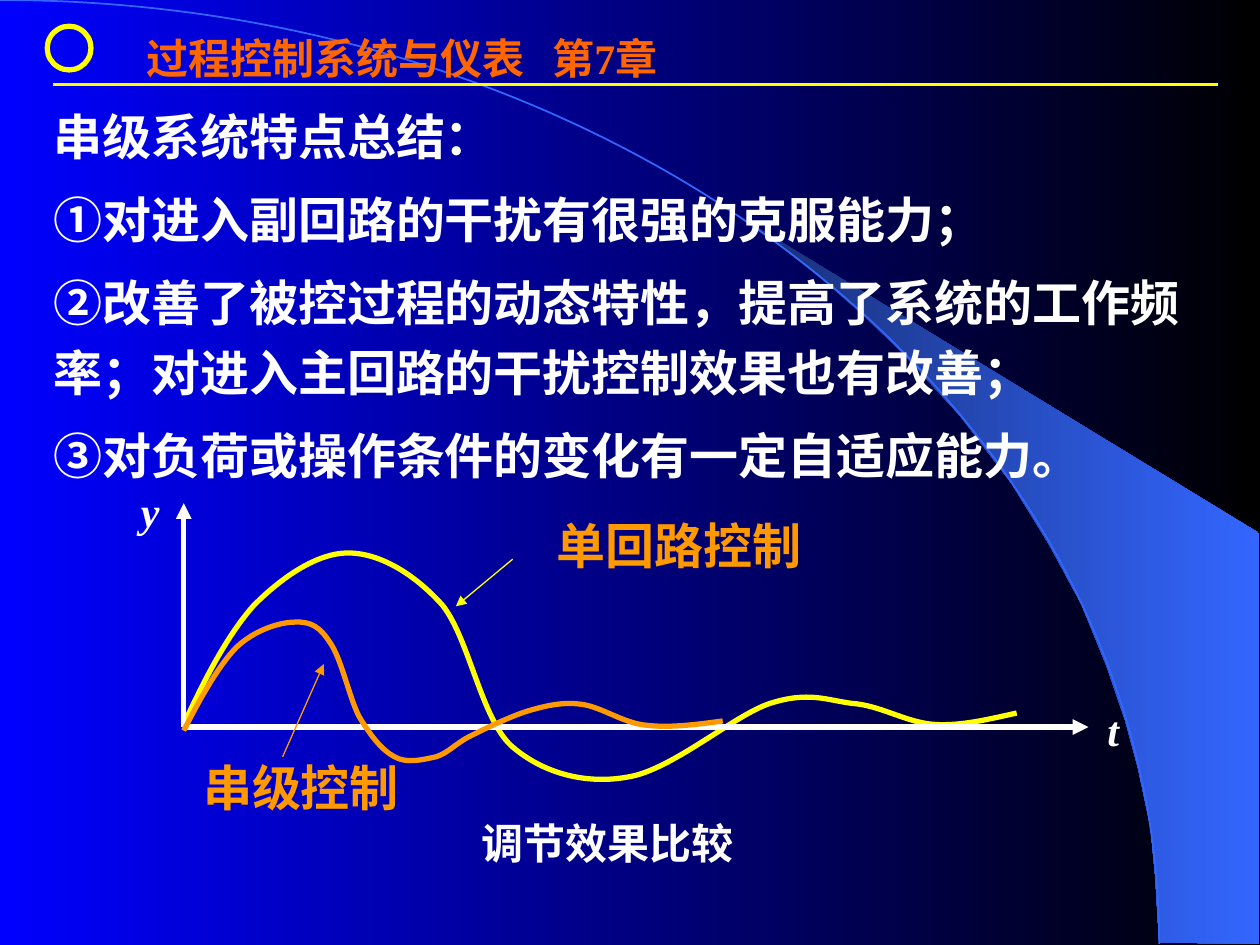
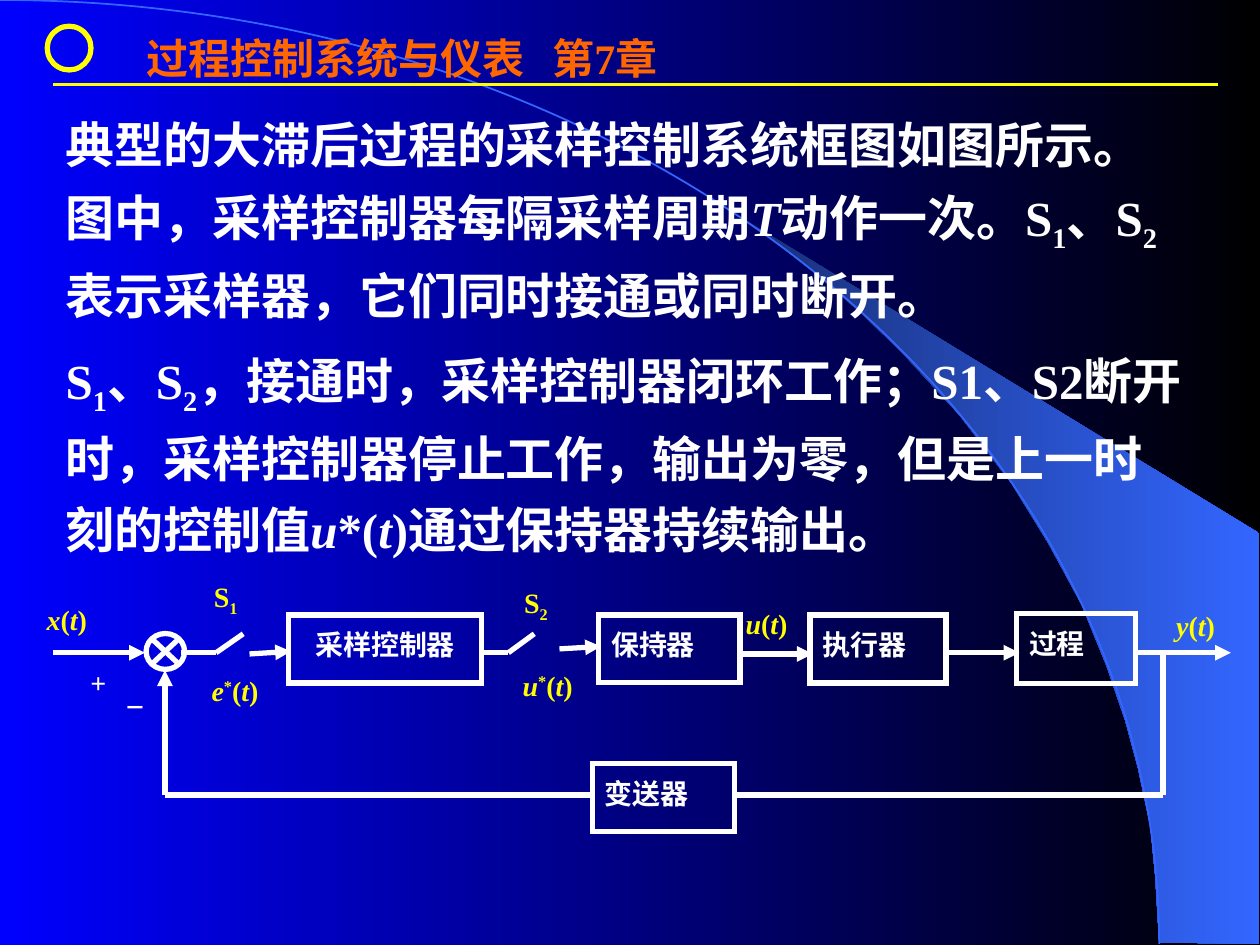
from itertools import pairwise
from typing import NamedTuple

from lxml import etree
from pptx import Presentation
from pptx.dml.color import RGBColor
from pptx.enum import shapes, text
from pptx.oxml.ns import qn
from pptx.util import Pt

WHITE = RGBColor(0xFF, 0xFF, 0xFF)
BLACK = RGBColor(0x00, 0x00, 0x00)
BLUE = RGBColor(0x00, 0x00, 0xFF)
NAVY = RGBColor(0x18, 0x2F, 0x76)
SKY = RGBColor(0x33, 0x66, 0xFF)
YELLOW = RGBColor(0xFF, 0xFF, 0x00)
AMBER = RGBColor(0xFF, 0x99, 0x00)
ORANGE = RGBColor(0xFF, 0x66, 0x00)
LATIN, CJK = "Times New Roman", "Noto Sans CJK SC"
LEFT, CENTER, JUSTIFY = text.PP_ALIGN.LEFT, text.PP_ALIGN.CENTER, text.PP_ALIGN.JUSTIFY
Point = tuple[float, float]


class Run(NamedTuple):
    text: str
    italic: bool = False
    baseline: int = 0


class Label(NamedTuple):
    left: float
    top: float
    width: float
    height: float
    runs: list[Run]
    color: RGBColor = YELLOW
    size: float = 16
    align: text.PP_ALIGN = JUSTIFY
    spacing: float = 1.2
    font: str = LATIN


class Block(NamedTuple):
    left: float
    top: float
    width: float
    height: float
    name: str
    align: text.PP_ALIGN = JUSTIFY


class Line(NamedTuple):
    start: Point
    end: Point
    color: RGBColor = WHITE
    width: float = 3
    arrow: bool = False


def sub(base: str, index: str) -> list[Run]:
    return [Run(base), Run(index, baseline=-25)]


def signal(name: str, sampled: bool = False) -> list[Run]:
    """Runs for name(t), with a raised star if sampled."""
    star = [Run("*", baseline=30)] if sampled else []
    return [Run(name, True), *star, Run("("), Run("t", True), Run(")")]


def write(p, runs: list[Run], size: float, color: RGBColor, font: str = LATIN) -> None:
    for run in runs:
        r = p.add_run()
        r.text = run.text
        r.font.size, r.font.bold, r.font.italic = Pt(size), True, run.italic
        r.font.color.rgb, r.font.name = color, font
        r_pr = r.font._element
        etree.SubElement(r_pr, qn("a:ea")).set("typeface", CJK)
        if run.baseline:
            r_pr.set("baseline", str(run.baseline * 1000))


def place(sp, left: float, top: float, width: float, height: float) -> None:
    sp.left, sp.top, sp.width, sp.height = Pt(left), Pt(top), Pt(width), Pt(height)


def set_frame(tf, anchor=text.MSO_ANCHOR.TOP) -> None:
    tf.word_wrap = True
    tf.auto_size = text.MSO_AUTO_SIZE.NONE
    tf.vertical_anchor = anchor


def outline(sp, color: RGBColor, width: float = 3) -> None:
    sp.shadow.inherit = False
    sp.fill.background()
    sp.line.color.rgb, sp.line.width = color, Pt(width)


def add_label(slide, label: Label) -> None:
    sp = slide.shapes.add_textbox(*map(Pt, label[:4]))
    set_frame(sp.text_frame)
    p = sp.text_frame.paragraphs[0]
    p.alignment, p.line_spacing = label.align, label.spacing
    write(p, label.runs, label.size, label.color, label.font)


def add_block(slide, block: Block) -> None:
    sp = slide.shapes.add_shape(shapes.MSO_SHAPE.RECTANGLE, *map(Pt, block[:4]))
    outline(sp, WHITE)
    etree.SubElement(sp.element.spPr.find(qn("a:ln")), qn("a:miter")).set("lim", "800000")
    set_frame(sp.text_frame)
    p = sp.text_frame.paragraphs[0]
    p.alignment, p.line_spacing = block.align, 1.2
    write(p, [Run(block.name)], 16, WHITE)


def add_line(slide, line: Line):
    cn = slide.shapes.add_connector(
        shapes.MSO_CONNECTOR.STRAIGHT, *map(Pt, line.start + line.end))
    cn.line.color.rgb, cn.line.width = line.color, Pt(line.width)
    sp_pr = cn.element.spPr
    if line.arrow:
        etree.SubElement(sp_pr.find(qn("a:ln")), qn("a:tailEnd")).set("type", "triangle")
    etree.SubElement(sp_pr, qn("a:effectLst"))
    return cn


def add_path(slide, points: list[Point], close: bool = False):
    first, *rest = [(Pt(x), Pt(y)) for x, y in points]
    builder = slide.shapes.build_freeform(*first)
    builder.add_line_segments(rest, close=close)
    return builder.convert_to_shape()


def add_curve(slide, nodes: list[Point], color: RGBColor, width: float = 3):
    """Joined cubic curves; every third node lies on the curve."""
    sp = add_path(slide, nodes)
    outline(sp, color, width)
    segments = sp.element.xpath(".//a:lnTo")
    for i in range(0, len(segments), 3):
        cubic = etree.Element(qn("a:cubicBezTo"))
        segments[i].addprevious(cubic)
        for segment in segments[i:i + 3]:
            cubic.append(segment[0])
            segment.getparent().remove(segment)
    return sp


def set_gradient(fill, start: RGBColor, end: RGBColor) -> None:
    fill.gradient()
    fill.gradient_angle = 0
    for stop, color in zip(fill.gradient_stops, (start, end)):
        stop.color.rgb = color


def decorate_master(prs, slide) -> None:
    """Draw the shared decoration and hand it over to the slide master."""
    set_gradient(prs.slide_master.background.fill, BLUE, BLACK)
    wedge = add_path(slide, [
        (662.4, 538.6), (719.3, 539.3), (719.3, 304.6), (424, 124.5), (449.3, 143.3),
        (470.2, 159.8), (493.2, 180), (515.5, 201.6), (548.6, 237.6), (578.2, 276.5),
        (599, 310.3), (617.8, 344.9), (632.2, 380.2), (643, 411.8), (650.2, 438.5),
        (657.4, 472.3), (660.2, 501.1)], True)
    wedge.shadow.inherit = False
    set_gradient(wedge.fill, NAVY, SKY)
    wedge.line.fill.background()
    arc = add_curve(
        slide, [(0, 0), (365.8, 0), (662.4, 241.2), (662.4, 539.3)], SKY, 1)
    ring = slide.shapes.add_shape(
        shapes.MSO_SHAPE.OVAL, Pt(27), Pt(15), Pt(25), Pt(25))
    outline(ring, YELLOW)
    rule = add_line(slide, Line((30.2, 48.2), (696.2, 48.2), YELLOW, 1.5))
    for number, sp in enumerate((wedge, arc, rule, ring), 100):
        sp.element.xpath(".//p:cNvPr")[0].set("id", str(number))
        prs.slide_master.shapes.element.append(sp.element)


def set_title(slide) -> None:
    sp = slide.shapes.title
    place(sp, 76.5, 15, 400, 40)
    set_frame(sp.text_frame)
    p = sp.text_frame.paragraphs[0]
    p.alignment = LEFT
    tabs = etree.SubElement(p._p.get_or_add_pPr(), qn("a:tabLst"))
    etree.SubElement(tabs, qn("a:tab"), pos=str(Pt(232)), algn="l")
    write(p, [Run("过程控制系统与仪表\t第7章")], 24, ORANGE)


def set_body(slide, box: tuple, paragraphs: list[list[Run]], anchor) -> None:
    sp = slide.placeholders[1]
    place(sp, *box)
    tf = sp.text_frame
    set_frame(tf, anchor)
    for i, runs in enumerate(paragraphs):
        p = tf.add_paragraph() if i else tf.paragraphs[0]
        p_pr = p._p.get_or_add_pPr()
        p_pr.set("marL", "0")
        p_pr.set("indent", "0")
        etree.SubElement(p_pr, qn("a:buNone"))
        p.alignment, p.line_spacing = LEFT, 1.2
        p.space_before = Pt(7 if i else 0)
        write(p, runs, 28, WHITE)


def build_summary(slide) -> None:
    set_body(slide, (23.4, 50.5, 672, 230), [[Run(line)] for line in (
        "串级系统特点总结：",
        "①对进入副回路的干扰有很强的克服能力；",
        "②改善了被控过程的动态特性，提高了系统的工作频率；对进入主回路的干扰控制效果也有改善；",
        "③对负荷或操作条件的变化有一定自适应能力。",
    )], text.MSO_ANCHOR.TOP)
    slide.placeholders[1].text_frame.paragraphs[0].runs[0].font.name = CJK

    single_loop = [
        (105, 414), (117, 388), (130, 363), (145, 346), (161, 330), (181, 316),
        (199, 316), (217, 316), (237, 328), (253, 346), (268, 365), (275, 410),
        (292, 426), (310, 442), (335, 448.5), (359, 444), (384, 440), (419, 409),
        (440, 402), (462, 395), (472, 400), (487, 402), (503, 403), (518, 413),
        (534, 414), (549, 415), (565, 411), (581, 407.5)]
    cascade = [
        (105, 417.5), (114.5, 399), (124.5, 381), (135, 370), (145.5, 360),
        (160, 355.5), (168.5, 355.5), (178, 355), (183, 358.5), (188.5, 367),
        (195, 376), (199.5, 398), (205, 409), (211.5, 420), (218, 428.5),
        (225.5, 432.5), (232.5, 436.5), (242, 434), (249, 432.5), (256, 430.5),
        (260, 425), (269, 420.5), (278, 416), (292.5, 409), (302.5, 406),
        (313, 403), (322, 401), (332.5, 402.5), (344, 404), (356.5, 413.5),
        (370, 414.5), (383, 416), (398, 414), (413, 412)]
    origin = (105, 415.5)
    add_curve(slide, single_loop, YELLOW)
    for line in (Line(origin, (622, 415.5), arrow=True),
                 Line(origin, (105, 287.5), arrow=True),
                 Line((161.5, 432.5), (185, 379.5), AMBER, 0.75, True),
                 Line((293, 319.5), (260.5, 346.5), YELLOW, 0.75, True)):
        add_line(slide, line)
    add_curve(slide, cascade, AMBER)
    for label in (
            Label(109, 429.4, 140, 41, [Run("串级控制")], AMBER, 28, LEFT, 1),
            Label(311, 291, 168, 41, [Run("单回路控制")], AMBER, 28, LEFT, 1),
            Label(625.7, 399, 30, 36, [Run("t", True)], WHITE, 24, LEFT, 1),
            Label(73.4, 274, 30, 36, [Run("y", True)], WHITE, 24, LEFT, 1),
            Label(268, 458, 230, 42, [Run("调节效果比较")], WHITE, 24, LEFT, font=CJK)):
        add_label(slide, label)


def build_sampling(slide) -> None:
    set_body(slide, (30.3, 55.5, 652.5, 267), [
        [Run("典型的大滞后过程的采样控制系统框图如图所示。图中，采样控制器每隔采样周期"),
         Run("T", True), *sub("动作一次。S", "1"), *sub("、S", "2"),
         Run("表示采样器，它们同时接通或同时断开。")],
        [*sub("S", "1"), *sub("、S", "2"),
         Run("，接通时，采样控制器闭环工作；S1、S2断开时，采样控制器停止工作，"
             "输出为零，但是上一时刻的控制值"),
         Run("u", True), Run("*("), Run("t", True), Run(")通过保持器持续输出。")],
    ], text.MSO_ANCHOR.MIDDLE)

    for block in (Block(165, 351.4, 110.2, 39, "采样控制器", CENTER),
                  Block(342.2, 351.4, 80.8, 38.8, "保持器"),
                  Block(462.8, 351.4, 77.8, 39, "执行器"),
                  Block(581, 350.6, 67.8, 40, "过程"),
                  Block(338.6, 436.3, 81, 38.8, "变送器")):
        add_block(slide, block)
    junction = slide.shapes.add_shape(
        shapes.MSO_SHAPE.FLOWCHART_SUMMING_JUNCTION, Pt(83.5), Pt(362), Pt(22), Pt(20.5))
    outline(junction, WHITE)

    axis, feedback = 373, 454.3
    arrows = [((30.2, axis), (82.8, axis)), ((142.6, 373.7), (166.3, 372.2)),
              ((319.7, 370.8), (343.4, 369.4)), ((423.4, 373.7), (464.4, 373.7)),
              ((540.7, axis), (582.5, axis)), ((649.4, axis), (703.4, axis)),
              ((94.3, feedback), (94.3, 383))]
    switches = [[(103.7, axis), (123.5, axis), (139, 362.2)],
                [(275, axis), (290.5, axis), (305.3, 362.2)]]
    returns = [[(664.6, 372.2), (664.6, feedback), (420, feedback)],
               [(338.4, feedback), (94.3, feedback)]]
    for start, end in arrows:
        add_line(slide, Line(start, end, arrow=True))
    for route in switches + returns:
        for start, end in pairwise(route):
            add_line(slide, Line(start, end))

    for label in (
            Label(19.6, 337, 55, 35, signal("x")),
            Label(113.8, 377.3, 55, 35, signal("e", True)),
            Label(291.6, 374.4, 56, 37, signal("u", True)),
            Label(419, 339, 55, 35, signal("u")),
            Label(665, 340.6, 55, 38, signal("y")),
            Label(115.2, 323.3, 55, 35, sub("S", "1")),
            Label(292.4, 326.9, 47.5, 37, sub("S", "2")),
            Label(44.6, 373, 32, 28, [Run("+")], WHITE),
            Label(65.5, 379.4, 26, 35, [Run("_")], WHITE, font=CJK)):
        add_label(slide, label)


def main() -> None:
    prs = Presentation()
    prs.slide_width, prs.slide_height = Pt(720), Pt(540)
    for build in (build_summary, build_sampling):
        slide = prs.slides.add_slide(prs.slide_layouts[1])
        if build is build_summary:
            decorate_master(prs, slide)
        set_title(slide)
        build(slide)
    prs.save("out.pptx")


if __name__ == "__main__":
    main()
